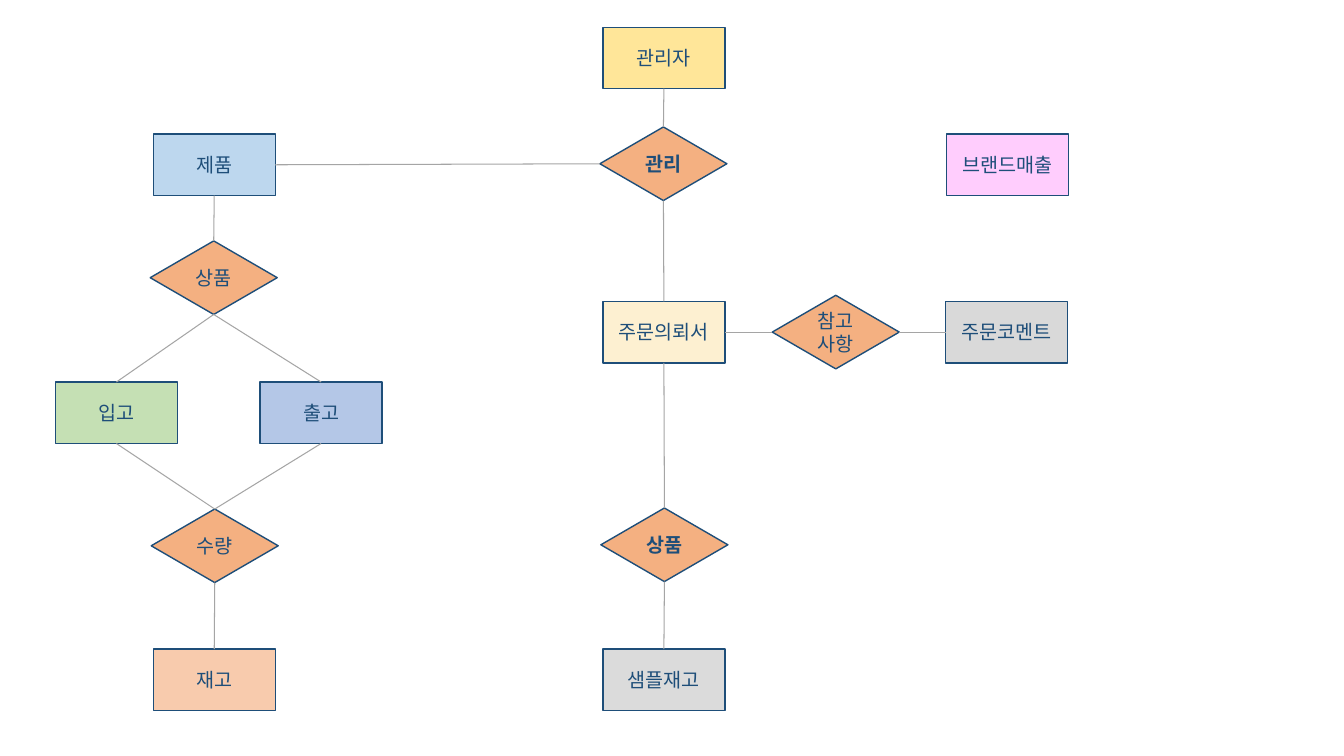
import pptx
import pptx.dml.color
import pptx.enum.shapes
import pptx.enum.text
import pptx.oxml.ns
import pptx.util
import lxml.etree

Inches = pptx.util.Inches
Pt = pptx.util.Pt
RGBColor = pptx.dml.color.RGBColor
MSO_SHAPE = pptx.enum.shapes.MSO_SHAPE
qn = pptx.oxml.ns.qn

NAVY = RGBColor(0x1E, 0x4E, 0x79)
GRAY = RGBColor(0xA5, 0xA5, 0xA5)
ORANGE = RGBColor(0xF4, 0xB0, 0x81)
GREEN = RGBColor(0xC5, 0xE0, 0xB4)
BLUE = RGBColor(0xB4, 0xC7, 0xE7)
SKY = RGBColor(0xBD, 0xD7, 0xEE)
SILVER = RGBColor(0xDB, 0xDB, 0xDB)
ASH = RGBColor(0xD9, 0xD9, 0xD9)
PEACH = RGBColor(0xF8, 0xCB, 0xAD)
CREAM = RGBColor(0xFD, 0xF0, 0xD1)
PINK = RGBColor(0xFF, 0xCD, 0xFD)
YELLOW = RGBColor(0xFF, 0xE6, 0x99)

TOP, LEFT, BOTTOM, RIGHT = range(4)


class Diagram:
    font = {"name": "Noto Sans CJK KR", "size": Pt(14)}
    frame = {
        "word_wrap": True,
        "vertical_anchor": pptx.enum.text.MSO_ANCHOR.MIDDLE,
        "margin_left": Inches(0.1),
        "margin_right": Inches(0.1),
        "margin_top": Inches(0.05),
        "margin_bottom": Inches(0.05),
    }

    def __init__(self, s):
        self.s = s

    def apply(self, target, values):
        for name, value in values.items():
            setattr(target, name, value)

    def node(self, kind, text, x, y, w, h, fill, bold=False):
        sp = self.s.shapes.add_shape(kind, Inches(x), Inches(y), Inches(w), Inches(h))
        sp.shadow.inherit = False
        sp.fill.solid()
        sp.fill.fore_color.rgb = fill
        sp.line.color.rgb = NAVY
        sp.line.width = Pt(1)
        tf = sp.text_frame
        self.apply(tf, self.frame)
        p = tf.paragraphs[0]
        p.alignment = pptx.enum.text.PP_ALIGN.CENTER
        r = p.add_run()
        r.text = text
        self.apply(r.font, {**self.font, "bold": bold})
        r.font.color.rgb = NAVY
        ea = lxml.etree.SubElement(r.font._element, qn("a:ea"))
        ea.set("typeface", self.font["name"])
        return sp

    def entity(self, text, x, y, fill):
        return self.node(MSO_SHAPE.RECTANGLE, text, x, y, 1.21, 0.61, fill)

    def relation(self, text, x, y, bold=False):
        return self.node(MSO_SHAPE.DIAMOND, text, x, y, 1.26, 0.73, ORANGE, bold)

    def link(self, a, a_side, b, b_side):
        c = self.s.shapes.add_connector(pptx.enum.shapes.MSO_CONNECTOR.STRAIGHT, 0, 0, 0, 0)
        c.begin_connect(a, a_side)
        c.end_connect(b, b_side)
        c.line.color.rgb = GRAY
        c.line.width = Pt(0.75)
        lxml.etree.SubElement(c._element.spPr, qn("a:effectLst"))


def main():
    prs = pptx.Presentation()
    prs.slide_width = Inches(13.33)
    prs.slide_height = Inches(7.5)
    d = Diagram(prs.slides.add_slide(prs.slide_layouts[6]))

    inbound = d.entity("입고", 0.55, 3.79, GREEN)
    outbound = d.entity("출고", 2.58, 3.79, BLUE)
    sample_stock = d.entity("샘플재고", 5.98, 6.44, SILVER)
    stock = d.entity("재고", 1.52, 6.44, PEACH)
    product = d.entity("제품", 1.52, 1.33, SKY)
    order = d.entity("주문의뢰서", 5.98, 2.99, CREAM)
    comment = d.entity("주문코멘트", 9.38, 2.99, ASH)
    d.entity("브랜드매출", 9.39, 1.33, PINK)
    admin = d.entity("관리자", 5.98, 0.27, YELLOW)

    quantity = d.relation("수량", 1.5, 5.05)
    goods = d.relation("상품", 1.49, 2.39)
    order_goods = d.relation("상품", 5.96, 5.04, bold=True)
    notes = d.relation("참고사항", 7.66, 2.93)
    manage = d.relation("관리", 5.95, 1.26, bold=True)

    for flow in (inbound, outbound):
        d.link(flow, TOP, goods, BOTTOM)
        d.link(flow, BOTTOM, quantity, TOP)
    for upper, lower in (
        (quantity, stock),
        (product, goods),
        (order, order_goods),
        (order_goods, sample_stock),
        (admin, manage),
        (manage, order),
    ):
        d.link(upper, BOTTOM, lower, TOP)
    for left, right in ((product, manage), (order, notes), (notes, comment)):
        d.link(left, RIGHT, right, LEFT)

    prs.save("out.pptx")


if __name__ == "__main__":
    main()
